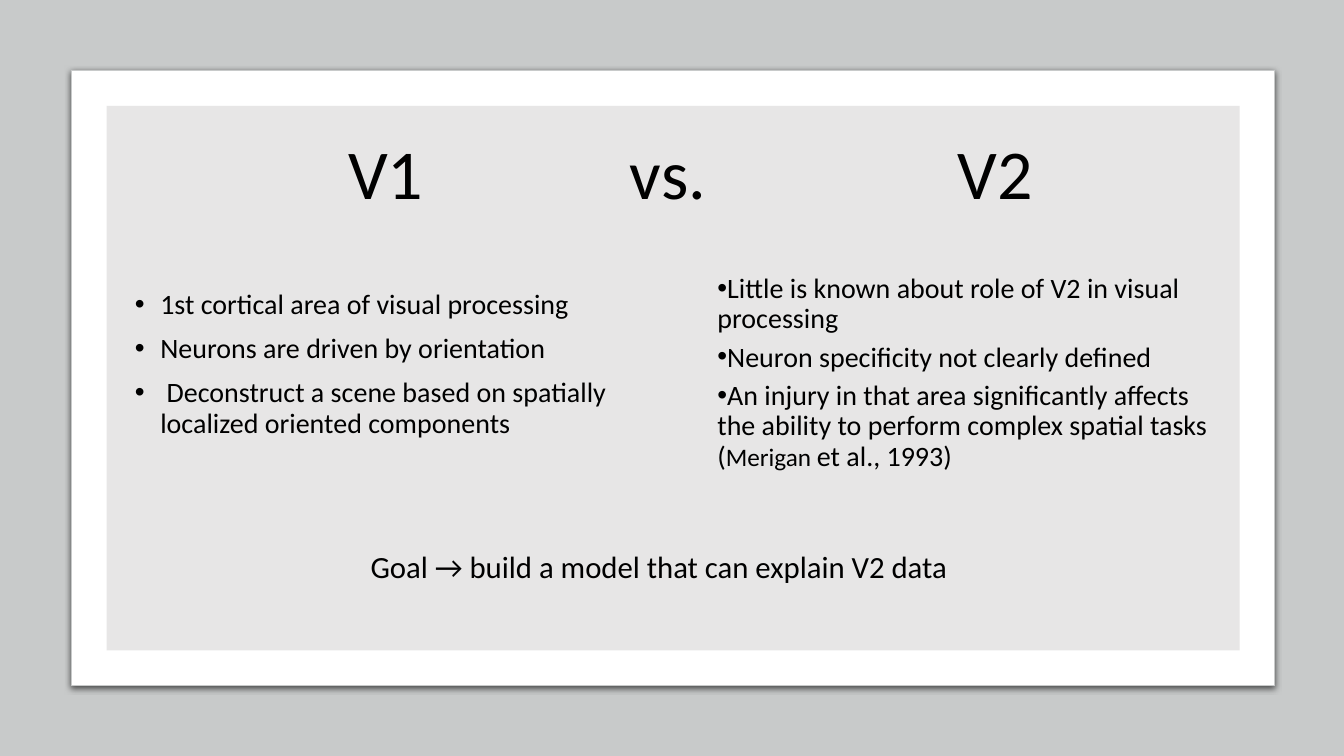
from lxml import etree
from pptx import Presentation
from pptx.dml.color import RGBColor
from pptx.enum import shapes, text
from pptx.oxml import ns
from pptx.util import Cm, Pt

COLORS = {"backdrop": "C8CACA", "card": "FFFFFF", "panel": "E7E6E6", "ink": "000000"}

deck = Presentation()
deck.slide_width, deck.slide_height = Cm(33.87), Cm(19.05)
slide = deck.slides.add_slide(deck.slide_layouts[6])


def add_block(preset, box, color):
    block = slide.shapes.add_shape(preset, *map(Cm, box))
    block.shadow.inherit = False
    block.fill.solid()
    block.fill.fore_color.rgb = RGBColor.from_string(COLORS[color])
    block.line.fill.background()
    return block


def add_text(box, paragraphs, size):
    frame = slide.shapes.add_textbox(*map(Cm, box)).text_frame
    frame.word_wrap = True
    frame.text = "\n".join(paragraphs)
    for paragraph in frame.paragraphs:
        for run in paragraph.runs:
            run.font.name = "Calibri"
            run.font.size = Pt(size)
            run.font.color.rgb = RGBColor.from_string(COLORS["ink"])
    return frame


# Backdrop, white card and grey panel
rectangle = shapes.MSO_SHAPE.RECTANGLE
add_block(rectangle, (0, 0, 33.87, 19.05), "backdrop")
card = add_block(shapes.MSO_SHAPE.ROUNDED_RECTANGLE, (1.8, 1.78, 30.33, 15.49), "card")
card.adjustments[0] = 0
card.line.color.rgb = RGBColor.from_string(COLORS["backdrop"])
card.line.width = Pt(0.75)
add_block(rectangle, (2.69, 2.67, 28.55, 13.72), "panel")

# Soft shadow under the card
effects = card.element.spPr.find(ns.qn("a:effectLst"))
shadow = etree.SubElement(effects, ns.qn("a:outerShdw"), blurRad=str(Pt(4.5)),
                          dist=str(Pt(1.5)), dir="5400000", algn="t", rotWithShape="0")
shade = etree.SubElement(shadow, ns.qn("a:srgbClr"), val=COLORS["ink"])
etree.SubElement(shade, ns.qn("a:alpha"), val="63000")

# Title, each part centred on its own tab stop
title = add_text((4.47, 3, 25.98, 2.9), ["\tV1\tvs.\tV2"], 50)
title.vertical_anchor = text.MSO_ANCHOR.MIDDLE
heading = title.paragraphs[0]
tabs = etree.SubElement(heading._p.get_or_add_pPr(), ns.qn("a:tabLst"))
for position in (5, 12.12, 20.37):
    etree.SubElement(tabs, ns.qn("a:tab"), pos=str(Cm(position)), algn="ctr")
heading.line_spacing = 0.9

# Facts about the two areas
v1_facts = add_text((3.15, 7.19, 12.9, 7.49), [
    "1st cortical area of visual processing",
    "Neurons are driven by orientation",
    " Deconstruct a scene based on spatially localized oriented components",
], 20)
v2_facts = add_text((17.83, 6.78, 13.11, 7.49), [
    "Little is known about role of V2 in visual processing",
    "Neuron specificity not clearly defined",
    "An injury in that area significantly affects the ability to perform "
    "complex spatial tasks (",
], 20)

# Citation that ends the last V2 fact
for words, size in (("Merigan ", 18), ("et al., 1993)", 20)):
    citation = v2_facts.paragraphs[-1].add_run()
    citation.text = words
    citation.font.name = "Calibri"
    citation.font.size = Pt(size)
    citation.font.color.rgb = RGBColor.from_string(COLORS["ink"])

# Bullets and spacing
for facts, margin, before, after in ((v1_facts, 0.64, 10, 0), (v2_facts, 0, 0, 6)):
    for index, fact in enumerate(facts.paragraphs):
        properties = fact._p.get_or_add_pPr()
        properties.set("marL", str(Cm(margin)))
        properties.set("indent", str(-Cm(0.64)))
        etree.SubElement(properties, ns.qn("a:buFont"), typeface="Arial")
        etree.SubElement(properties, ns.qn("a:buChar"), char="•")
        fact.line_spacing = 0.9
        fact.space_before = Pt(before if index else 0)
        fact.space_after = Pt(after)

# Goal
add_text((9.09, 13.67, 17.48, 1.19), ["Goal → build a model that can explain V2 data"], 22)

deck.save("out.pptx")
